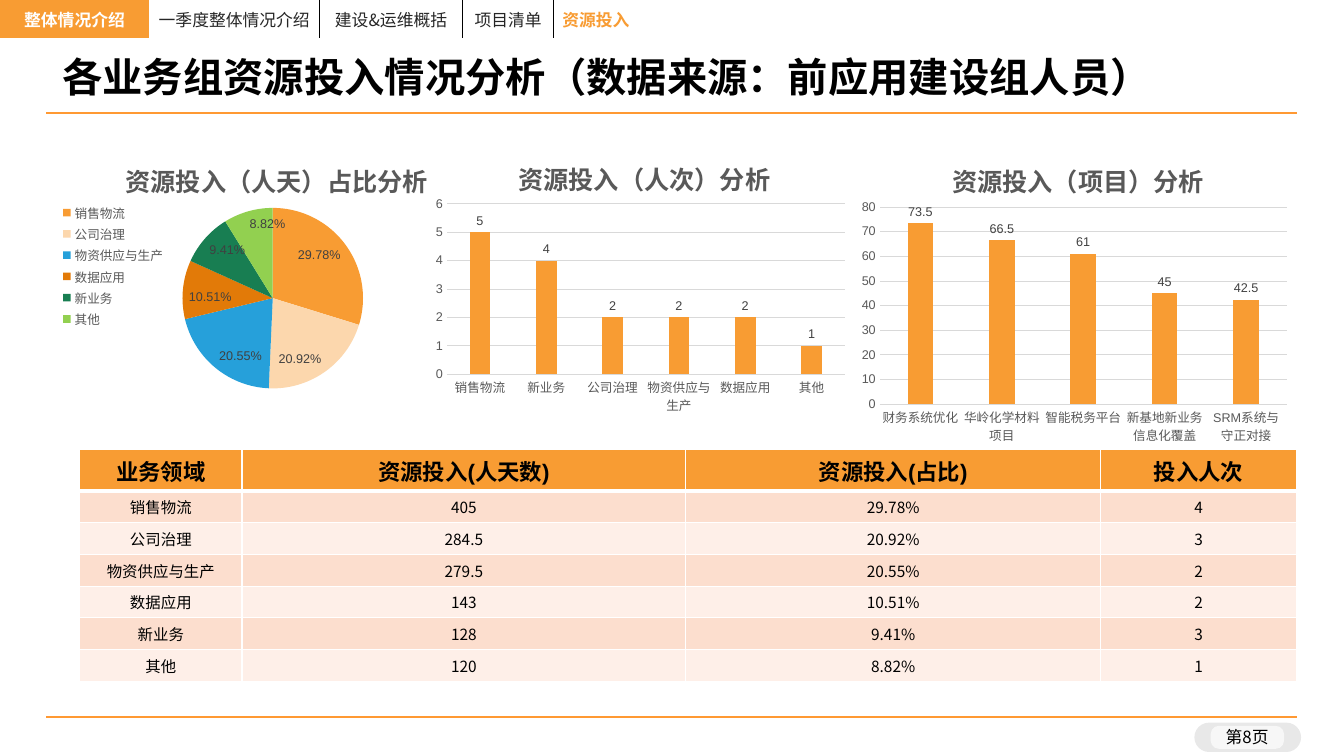
"""Build the resource investment analysis slide."""
from dataclasses import dataclass
from typing import NamedTuple

from lxml.etree import SubElement
from pptx import Presentation
from pptx.chart.data import CategoryChartData
from pptx.dml.color import RGBColor
from pptx.enum.chart import XL_CHART_TYPE, XL_LABEL_POSITION, XL_LEGEND_POSITION, XL_TICK_MARK
from pptx.enum.shapes import MSO_CONNECTOR, MSO_SHAPE
from pptx.enum.text import MSO_ANCHOR, PP_ALIGN
from pptx.oxml.ns import qn
from pptx.util import Cm, Pt

CJK = "Noto Sans CJK SC"
COLORS = {
    "accent": "F89C33", "rule": "FF9933", "black": "000000", "white": "FFFFFF",
    "nav": "262626", "band": "FCDECE", "pale": "FEEFE8", "axis": "595959",
    "label": "404040", "grid": "D9D9D9", "peach": "FCD7AD", "blue": "26A0DA",
    "rust": "E27A08", "forest": "187E52", "lime": "92D050",
}
PIE_COLORS = ("accent", "peach", "blue", "rust", "forest", "lime")
DOMAINS = ("销售物流", "公司治理", "物资供应与生产", "数据应用", "新业务", "其他")
SHARES = (29.78, 20.92, 20.55, 10.51, 9.41, 8.82)
PERSON_DAYS = ("405", "284.5", "279.5", "143", "128", "120")
HEADCOUNTS = ("4", "3", "2", "2", "3", "1")
HEADINGS = ("业务领域", "资源投入(人天数)", "资源投入(占比)", "投入人次")
NAVIGATION = ("整体情况介绍", "一季度整体情况介绍", "建设&运维概括", "项目清单", "资源投入", "", "", "", "")


class Box(NamedTuple):
    left: float
    top: float
    width: float
    height: float

    def lengths(self) -> list:
        return [Cm(value) for value in self]


class Style(NamedTuple):
    size: float
    color: str
    bold: bool = False
    face: str = CJK


@dataclass
class ChartSpec:
    title: str
    box: Box
    title_box: Box
    plot_box: Box
    categories: tuple
    values: tuple
    maximum: float = 0
    step: float = 0


CHARTS = (
    ChartSpec("资源投入（人天）占比分析", Box(1.24, 3.28, 11.23, 6.81), Box(3.05, 3.9, 7.7, 0.8),
              Box(4.6, 5.24, 4.55, 4.55), DOMAINS, SHARES),
    ChartSpec("资源投入（项目）分析", Box(21.51, 3.28, 11.15, 8.08), Box(23.88, 3.9, 6.5, 0.8),
              Box(22.17, 5.22, 10.26, 4.97),
              ("财务系统优化", "华岭化学材料项目", "智能税务平台", "新基地新业务信息化覆盖", "SRM系统与守正对接"),
              (73.5, 66.5, 61, 45, 42.5), 80, 10),
    ChartSpec("资源投入（人次）分析", Box(10.77, 3.23, 10.72, 7.34), Box(12.95, 3.85, 6.5, 0.8),
              Box(11.26, 5.14, 10.03, 4.29),
              ("销售物流", "新业务", "公司治理", "物资供应与生产", "数据应用", "其他"),
              (5, 4, 2, 2, 2, 1), 6, 1),
)
LEGEND_BOX = Box(1.5, 5.05, 2.7, 3.3)


def rgb(name: str) -> RGBColor:
    return RGBColor.from_string(COLORS[name])


def paint(fill, color: str) -> None:
    fill.solid()
    fill.fore_color.rgb = rgb(color)


def style_font(font, style: Style) -> None:
    font.size, font.bold, font.name = Pt(style.size), style.bold, style.face
    font.color.rgb = rgb(style.color)
    SubElement(font._rPr, qn("a:ea"), typeface=CJK)


def write(frame, text: str, style: Style, align=PP_ALIGN.CENTER):
    para = frame.paragraphs[0]
    para.alignment = align
    span = para.add_run()
    span.text = text
    for font in (para.font, span.font):
        style_font(font, style)
    return para


def add_text(page, box: Box, text: str, style: Style, inset: tuple, spacing: float, align, wrap: bool) -> None:
    frame = page.shapes.add_textbox(*box.lengths()).text_frame
    frame.word_wrap, frame.vertical_anchor = wrap, MSO_ANCHOR.MIDDLE
    frame.margin_left = frame.margin_right = Cm(inset[0])
    frame.margin_top = frame.margin_bottom = Cm(inset[1])
    write(frame, text, style, align).line_spacing = spacing


def add_rule(page, top: float) -> None:
    rule = page.shapes.add_connector(MSO_CONNECTOR.STRAIGHT, Cm(1.17), Cm(top), Cm(32.69), Cm(top))
    rule.line.color.rgb, rule.line.width = rgb("rule"), Pt(1.5)
    SubElement(rule._element.spPr, qn("a:effectLst"))


def add_pill(page, box: Box, color: str, opacity: int, rounding: float) -> None:
    pill = page.shapes.add_shape(MSO_SHAPE.ROUNDED_RECTANGLE, *box.lengths())
    pill.adjustments[0] = rounding
    pill.shadow.inherit = False
    pill.line.fill.background()
    paint(pill.fill, color)
    tint = pill._element.spPr.find(qn("a:solidFill"))[0]
    SubElement(tint, qn("a:alpha"), val=str(opacity * 1000))


def add_grid(page, box: Box, widths: tuple, heights: tuple):
    table = page.shapes.add_table(len(heights), len(widths), *box.lengths()).table
    table.first_row = table.horz_banding = False
    for column, width in zip(table.columns, widths):
        column.width = Cm(width)
    for row, height in zip(table.rows, heights):
        row.height = Cm(height)
    return table


def set_cell(cell, text: str, style: Style, fill: str, edges: dict, inset: float, left: float = 0, align=PP_ALIGN.CENTER) -> None:
    cell.vertical_anchor = MSO_ANCHOR.MIDDLE
    cell.margin_left, cell.margin_right = Cm(left), 0
    cell.margin_top = cell.margin_bottom = Cm(inset)
    properties = cell._tc.get_or_add_tcPr()
    for side in "LRTB":
        color, width = edges.get(side, ("", 0))
        line = SubElement(properties, qn(f"a:ln{side}"), w=str(Pt(width)))
        if color:
            solid = SubElement(line, qn("a:solidFill"))
            SubElement(solid, qn("a:srgbClr"), val=COLORS[color])
        else:
            SubElement(line, qn("a:noFill"))
    if fill:
        paint(cell.fill, fill)
    else:
        cell.fill.background()
    write(cell.text_frame, text, style, align)


def add_navigation(page) -> None:
    widths = (3.76, 4.29, 3.61, 2.29, 4.84) + (3.77,) * 4
    table = add_grid(page, Box(0, 0, 33.87, 0.74), widths, (0.74,))
    for index, text in enumerate(NAVIGATION):
        edges = {"L": ("black", 1)} if 2 <= index <= 4 else {}
        if 1 <= index <= 3:
            edges["R"] = ("black", 1)
        first, current = index == 0, index == 4
        color = "white" if first else "accent" if current else "nav"
        set_cell(table.cell(0, index), text, Style(12, color, first or current), "accent" if first else "",
                 edges, 0.1, 0.22 if current else 0, PP_ALIGN.LEFT if current else PP_ALIGN.CENTER)


def add_summary(page) -> None:
    rows = [HEADINGS, *zip(DOMAINS, PERSON_DAYS, [f"{share:.2f}%" for share in SHARES], HEADCOUNTS)]
    table = add_grid(page, Box(2.01, 11.33, 30.66, 5.84), (4.09, 11.18, 10.46, 4.93), (1.04,) + (0.8,) * 6)
    for number, row in enumerate(rows):
        header = number == 0
        style = Style(16, "black", True, "Arial") if header else Style(11, "black")
        fill = "accent" if header else "band" if number % 2 else "pale"
        edges = {side: ("white", 1) for side in "LRTB"}
        if number < 2:
            edges["T" if number else "B"] = ("white", 3)
        for index, text in enumerate(row):
            set_cell(table.cell(number, index), text, style, fill, edges, 0.02)


def place(element, position: int, box: Box, outer: Box, inner: bool = False) -> None:
    for old in element.findall(qn("c:layout")):
        element.remove(old)
    layout = SubElement(element, qn("c:layout"))
    element.insert(position, layout)
    manual = SubElement(layout, qn("c:manualLayout"))
    fractions = ((box.left - outer.left) / outer.width, (box.top - outer.top) / outer.height,
                 box.width / outer.width, box.height / outer.height)
    settings = [("layoutTarget", "inner")] if inner else []
    settings += [("xMode", "edge"), ("yMode", "edge")]
    settings += [(key, f"{value:.4f}") for key, value in zip("xywh", fractions)]
    for key, value in settings:
        SubElement(manual, qn(f"c:{key}"), val=value)


def style_axes(chart, spec: ChartSpec) -> None:
    for axis in (chart.category_axis, chart.value_axis):
        axis.major_tick_mark = axis.minor_tick_mark = XL_TICK_MARK.NONE
        style_font(axis.tick_labels.font, Style(9, "axis", face="Arial"))
    values = chart.value_axis
    values.minimum_scale, values.maximum_scale, values.major_unit = 0, spec.maximum, spec.step
    values.format.line.fill.background()
    for line in (chart.category_axis.format.line, values.major_gridlines.format.line):
        line.color.rgb, line.width = rgb("grid"), Pt(0.75)


def add_chart(page, spec: ChartSpec) -> None:
    pie = not spec.maximum
    data = CategoryChartData()
    data.categories = spec.categories
    data.add_series("资源投入", spec.values)
    kind = XL_CHART_TYPE.PIE if pie else XL_CHART_TYPE.COLUMN_CLUSTERED
    chart = page.shapes.add_chart(kind, *spec.box.lengths(), data).chart
    style_font(chart.font, Style(10, "black", face="Arial"))
    write(chart.chart_title.text_frame, spec.title, Style(18, "axis", True, "Arial"))
    place(chart.chart_title._element, 1, spec.title_box, spec.box)
    place(chart._chartSpace.chart.plotArea, 0, spec.plot_box, spec.box, True)
    plot = chart.plots[0]
    plot.vary_by_categories = pie
    plot.has_data_labels = True
    labels = plot.data_labels
    style_font(labels.font, Style(9, "label", face="Arial"))
    labels.show_percentage, labels.show_value = pie, not pie
    labels.position = XL_LABEL_POSITION.INSIDE_END if pie else XL_LABEL_POSITION.OUTSIDE_END
    chart.has_legend = pie
    if pie:
        labels.number_format, labels.number_format_is_linked = "0.00%", False
        for index, color in enumerate(PIE_COLORS):
            paint(plot.series[0].points[index].format.fill, color)
        chart.legend.position = XL_LEGEND_POSITION.LEFT
        style_font(chart.legend.font, Style(9, "axis", face="Arial"))
        place(chart.legend._element, 1, LEGEND_BOX, spec.box)
    else:
        plot.gap_width, plot.overlap = 219, -27
        paint(plot.series[0].format.fill, "accent")
        style_axes(chart, spec)


def main() -> None:
    deck = Presentation()
    deck.slide_width, deck.slide_height = Cm(33.87), Cm(19.05)
    page = deck.slides.add_slide(deck.slide_layouts[6])
    for top in (2.84, 18.06):
        add_rule(page, top)
    add_pill(page, Box(30.1, 18.21, 2.69, 0.74), "black", 9, 0.5)
    add_pill(page, Box(30.51, 18.29, 1.85, 0.58), "white", 66, 0.36)
    add_text(page, Box(30.07, 18.21, 2.72, 0.79), "第8页", Style(12, "black"), (0, 0.1), 0.85, PP_ALIGN.CENTER, False)
    add_text(page, Box(1.24, 1.3, 31.42, 1.42), "各业务组资源投入情况分析（数据来源：前应用建设组人员）",
             Style(28.8, "black", True), (0.33, 0.18), 0.9, PP_ALIGN.LEFT, True)
    add_summary(page)
    add_navigation(page)
    for spec in CHARTS:
        add_chart(page, spec)
    deck.save("out.pptx")


if __name__ == "__main__":
    main()
